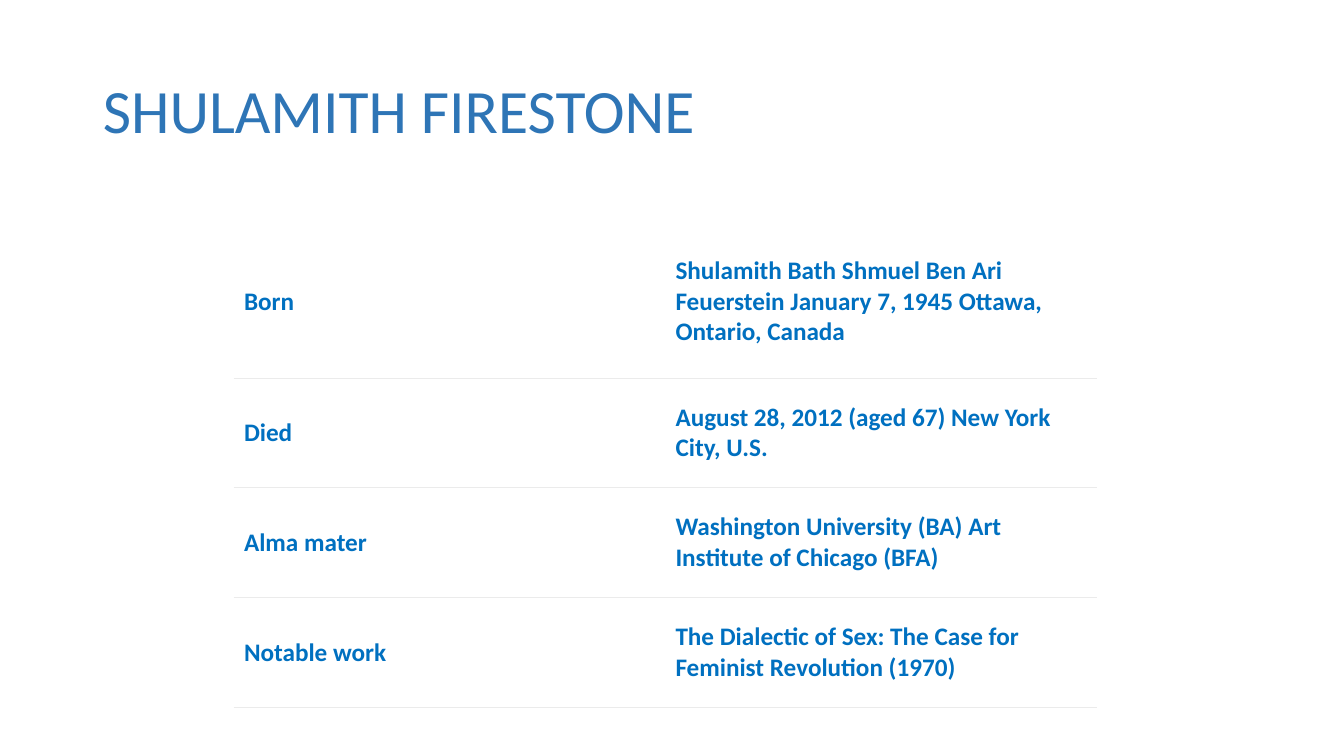
from pptx import Presentation
from pptx import util as u
from pptx.dml import color
from pptx.enum import text
from pptx.oxml import parse_xml
from pptx.oxml.ns import nsdecls, qn

HUES = {"title": "2E75B6", "text": "0070C0", "rule": "EBEBEB", "back": "FFFFFF"}
FACTS = [
    ("Born", "Shulamith Bath Shmuel Ben Ari Feuerstein January 7, 1945 Ottawa, Ontario, Canada"),
    ("Died", "August 28, 2012 (aged 67) New York City, U.S."),
    ("Alma mater", "Washington University (BA) Art Institute of Chicago (BFA)"),
    ("Notable work", "The Dialectic of Sex: The Case for Feminist Revolution (1970)"),
]
HEIGHTS = [1.52, 1.09, 1.09, 1.09]
PLAIN = "{2D5ABB26-0587-4C30-8999-92F81FD0307C}"  # no style, no grid


def hue(name):
    return color.RGBColor.from_string(HUES[name])


def write(frame, words, size=18, tint="text", bold=False, gap=1.0):
    frame.word_wrap = True
    para = frame.paragraphs[0]
    para.alignment = text.PP_ALIGN.LEFT
    para.line_spacing = gap
    run = para.add_run()
    run.text = words
    font = run.font
    font.name, font.size, font.bold = "Calibri", u.Pt(size), bold
    font.color.rgb = hue(tint)


class Page:
    def __init__(self, deck, font="Calibri"):
        self.slide = deck.slides.add_slide(deck.slide_layouts[5])

    def title(self, words, left, top, width, height):
        head = self.slide.shapes.title
        head.left, head.top = u.Inches(left), u.Inches(top)
        head.width, head.height = u.Inches(width), u.Inches(height)
        head.text_frame.vertical_anchor = text.MSO_ANCHOR.MIDDLE
        write(head.text_frame, words, size=44, tint="title", gap=0.9)

    def table(self, rows, heights, left, top, width):
        grid = self.slide.shapes.add_table(
            len(rows), len(rows[0]), u.Inches(left), u.Inches(top),
            u.Inches(width), u.Inches(sum(heights))).table
        grid.first_row = grid.horz_banding = False
        grid._tbl.tblPr.find(qn("a:tableStyleId")).text = PLAIN
        for line, height, facts in zip(grid.rows, heights, rows):
            line.height = u.Inches(height)
            for cell, words in zip(line.cells, facts):
                self.cell(cell, words)

    def cell(self, cell, words):
        cell.margin_left = cell.margin_right = u.Inches(0.1)
        cell.margin_top = cell.margin_bottom = u.Inches(0.08)
        cell.vertical_anchor = text.MSO_ANCHOR.MIDDLE
        cell.fill.solid()
        cell.fill.fore_color.rgb = hue("back")
        write(cell.text_frame, words, bold=True)
        # Thin rule below the cell
        rule = parse_xml(
            f'<a:lnB {nsdecls("a")} w="{u.Pt(0.75)}"><a:solidFill>'
            f'<a:srgbClr val="{HUES["rule"]}"/></a:solidFill></a:lnB>')
        cell._tc.get_or_add_tcPr().insert(0, rule)


def main():
    deck = Presentation()
    deck.slide_width, deck.slide_height = u.Inches(13.33), u.Inches(7.5)
    page = Page(deck)
    # Heading
    page.title("SHULAMITH FIRESTONE", 0.92, 0.4, 11.5, 1.45)
    # Life facts
    page.table(FACTS, HEIGHTS, 2.32, 2.23, 8.56)
    deck.save("out.pptx")


if __name__ == "__main__":
    main()
